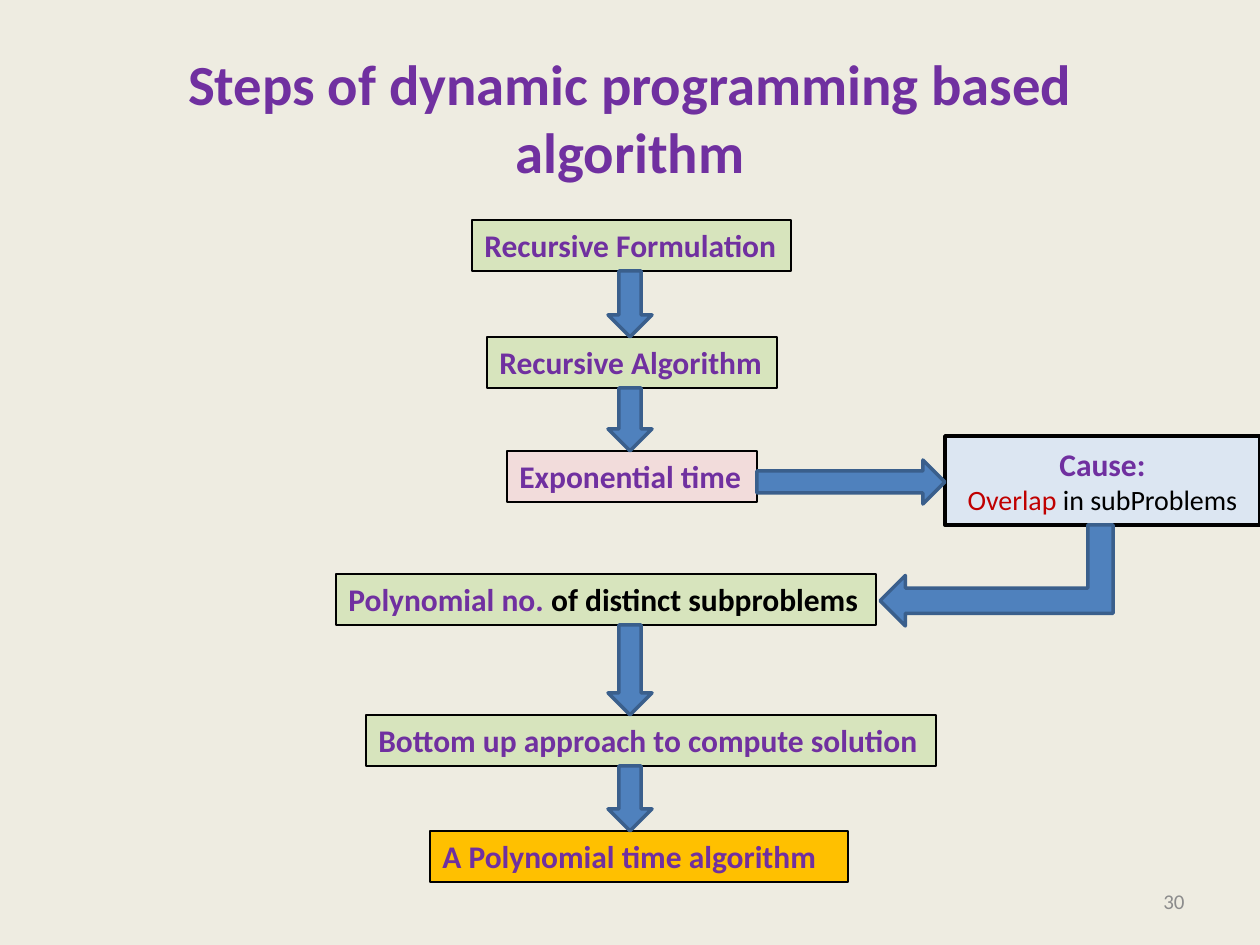
from pptx import Presentation
from pptx.dml.color import RGBColor
from pptx.enum.shapes import MSO_SHAPE
from pptx.enum.text import MSO_ANCHOR, MSO_AUTO_SIZE, PP_ALIGN
from pptx.util import Pt

DOWN, RIGHT = MSO_SHAPE.DOWN_ARROW, MSO_SHAPE.RIGHT_ARROW
BENT, CALLOUT = MSO_SHAPE.BENT_UP_ARROW, MSO_SHAPE.LINE_CALLOUT_2
MIDDLE, GROW = MSO_ANCHOR.MIDDLE, MSO_AUTO_SIZE.SHAPE_TO_FIT_TEXT
LEFT, CENTER, END = PP_ALIGN.LEFT, PP_ALIGN.CENTER, PP_ALIGN.RIGHT

SCALE = 914400 / 126
FONT = "Calibri"
COLORS = {
    "page": "EEECE1", "purple": "7030A0", "black": "000000", "red": "C00000",
    "gray": "8C8C8C", "green": "D7E4BD", "pink": "F2DCDB", "gold": "FFC000",
    "pale": "DCE6F2", "blue": "4F81BD", "navy": "3A5F8C",
}
STEP_H, ARROW_W = 51, 44
STEPS = [
    (136, 0, 319, "green", [("Recursive Formulation", "purple")], True),
    (151, 117, 290, "green", [("Recursive Algorithm", "purple")], True),
    (171, 231, 250, "pink", [("Exponential time", "purple")], False),
    (0, 354, 540, "green", [("Polynomial no. ", "purple"),
                            ("of distinct subproblems", "black")], True),
    (30, 495, 570, "green", [("Bottom up approach to compute solution", "purple")], True),
    (94, 611, 418, "gold", [("A Polynomial time algorithm", "purple")], False),
]


def emu(*sizes):
    """Turn px lengths into EMU."""
    return [round(size * SCALE) for size in sizes]


def color(name):
    """Look up a named colour."""
    return RGBColor.from_string(COLORS[name])


def paint(shape, fill, line, width):
    """Set the fill and outline of a shape."""
    shape.fill.solid()
    shape.fill.fore_color.rgb = color(fill)
    shape.line.color.rgb = color(line)
    shape.line.width = Pt(width)


def write(para, runs, size, bold=False, align=LEFT):
    """Add coloured runs to a paragraph."""
    para.alignment = align
    for text, tone in runs:
        run = para.add_run()
        run.text = text
        run.font.name = FONT
        run.font.size = Pt(size)
        run.font.bold = bold
        run.font.color.rgb = color(tone)


def add_arrow(slide, kind, box):
    """Draw a block arrow in its box."""
    arrow = slide.shapes.add_shape(kind, *emu(*box))
    arrow.shadow.inherit = False
    paint(arrow, "blue", "navy", 2)
    return arrow


def add_title(slide, box):
    """Place the slide title."""
    title = slide.shapes.title
    title.left, title.top, title.width, title.height = emu(*box)
    title.text_frame.vertical_anchor = MIDDLE
    write(title.text_frame.paragraphs[0],
          [("Steps of dynamic programming based algorithm", "purple")],
          32.4, True, CENTER)


def add_steps(slide, box):
    """Stack the steps and the arrows that lead down between them."""
    left, top, width, _ = box
    for x, y, wide, fill, runs, _ in STEPS:
        step = slide.shapes.add_textbox(*emu(left + x, top + y, wide, STEP_H))
        paint(step, fill, "black", 0.75)
        step.text_frame.word_wrap = False
        step.text_frame.auto_size = GROW
        write(step.text_frame.paragraphs[0], runs, 18, True)
    for step, after in zip(STEPS, STEPS[1:]):
        if step[-1]:
            start = step[1] + STEP_H
            add_arrow(slide, DOWN, (left + 272, top + start,
                                    ARROW_W, after[1] - start))


def add_cause(slide, box):
    """Place the cause callout with its arrows in and out."""
    left, top, width, height = box
    cause = slide.shapes.add_shape(CALLOUT, *emu(*box))
    cause.shadow.inherit = False
    for i, value in enumerate((0.49, -0.01, 0.48, 0, 0.5, 0)):
        cause.adjustments[i] = value
    paint(cause, "pale", "black", 2)
    frame = cause.text_frame
    frame.word_wrap = True
    frame.vertical_anchor = MIDDLE
    write(frame.paragraphs[0], [("Cause:", "purple")], 18, True, CENTER)
    write(frame.add_paragraph(),
          [("Overlap ", "red"), ("in subProblems", "black")], 16, False, CENTER)
    add_arrow(slide, RIGHT, (left - 188, top + 24, 188, ARROW_W))
    bent = add_arrow(slide, BENT, (left + 1, top + 23, 101, 233))
    bent.rotation = 270
    bent.element.spPr.get_or_add_xfrm().set("flipH", "1")


def add_number(slide, box):
    """Place the page number."""
    number = slide.shapes.add_textbox(*emu(*box))
    number.text_frame.word_wrap = True
    number.text_frame.vertical_anchor = MIDDLE
    write(number.text_frame.paragraphs[0], [("30", "gray")], 12, False, END)


def main():
    """Build and save the slide."""
    deck = Presentation()
    deck.slide_width, deck.slide_height = emu(1260, 945)
    slide = deck.slides.add_slide(deck.slide_layouts[5])
    slide.background.fill.solid()
    slide.background.fill.fore_color.rgb = color("page")
    add_title(slide, (63, 38, 1134, 158))
    add_number(slide, (903, 876, 294, 50))
    add_steps(slide, (336, 220, 600, 662))
    add_cause(slide, (945, 436, 315, 89))
    deck.save("out.pptx")


if __name__ == "__main__":
    main()
